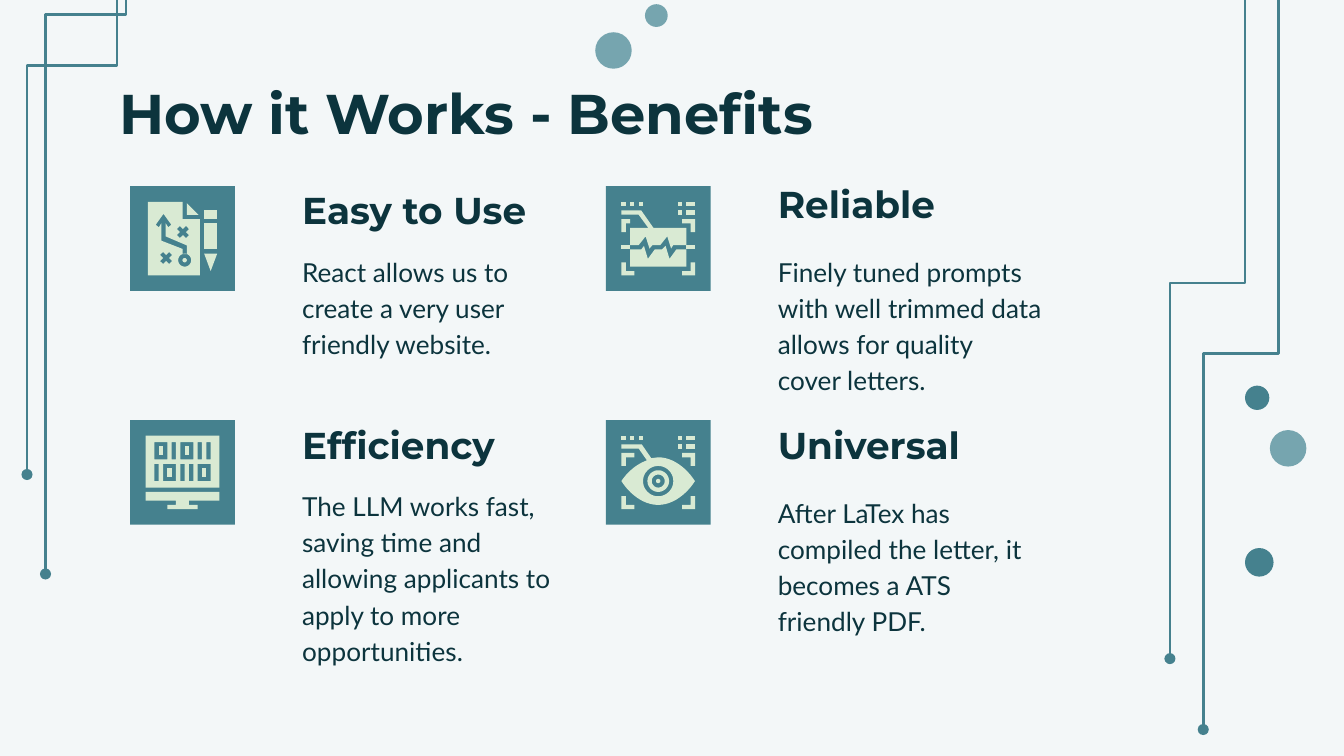
import math

import pptx
import pptx.dml.color
import pptx.enum.shapes
import pptx.enum.text
import pptx.oxml
import pptx.oxml.ns
import pptx.util
from pptx.util import Cm

RGBColor = pptx.dml.color.RGBColor
PAPER = RGBColor(0xF3, 0xF7, 0xF8)
TEAL = RGBColor(0x45, 0x81, 0x8E)
MIST = RGBColor(0x76, 0xA5, 0xAF)
MINT = RGBColor(0xD9, 0xEA, 0xD3)
INK = RGBColor(0x0C, 0x34, 0x3D)

SHAPE = pptx.enum.shapes.MSO_SHAPE
ANCHOR = pptx.enum.text.MSO_ANCHOR
TILE = 1.98
ICON = 1.39
GRID = 17
STEPS = 100


def rect(x, y, width, height):
    return [(x, y), (x, y + height), (x + width, y + height), (x + width, y)]


def circle(x, y, radius):
    turns = [math.tau * i / 40 for i in range(40)]
    return [(x + radius * math.cos(t), y + radius * math.sin(t)) for t in turns]


def curve(*controls):
    points = []
    for i in range(13):
        t = i / 12
        weights = ((1 - t) ** 3, 3 * t * (1 - t) ** 2, 3 * t * t * (1 - t), t ** 3)
        points.append(tuple(sum(w * c[axis] for w, c in zip(weights, controls))
                            for axis in (0, 1)))
    return points


def cross(x, y):
    arm = [(0, -0.7), (0.7, -1.4), (1.4, -0.7), (0.7, 0)]
    half = arm + [(1.4, 0.7), (0.7, 1.4)]
    return [(x + dx, y + dy) for dx, dy in half + [(-dx, -dy) for dx, dy in half]]


def mirror(outline):
    return [(GRID - x, y) for x, y in outline]


def plan_icon():
    arrow = [(4.1, 2.8), (2.3, 5.3), (3, 5.9), (3.6, 5), (3.6, 9), (8.5, 10.9),
             (8.5, 12.1), (9.5, 12.1), (9.5, 10.1), (4.6, 8), (4.6, 5),
             (5.2, 5.9), (5.9, 5.3)]
    page = [(0.5, 0), (0.5, 17), (12.5, 17), (12.5, 4), (8.5, 4), (8.5, 0)]
    return [
        [page, arrow, cross(8.6, 7), cross(4.7, 13), circle(9, 13.5, 1.5)],
        [circle(9, 13.5, 0.5)],
        [[(9.5, 0.3), (9.5, 3), (12.2, 3)]],
        [rect(13.5, 2, 3, 2)],
        [rect(13.5, 5, 3, 6)],
        [[(13.5, 12), (15, 16), (16.5, 12)]],
    ]


def scan_frame(corner):
    top_right = [(14, 4), (14, 5), (16, 5), (16, 7), (17, 7), (17, 4)]
    bottom_right = [(16, 14), (16, 16), (14, 16), (14, 17), (17, 17), (17, 14)]
    top_left = [(0, 4), (0, 7), (1, 7), (1, 5), (corner, 5), (corner, 4)]
    dots = [rect(x, 0, 1, 1) for x in (0, 2, 4)]
    for y in (0, 2):
        dots += [rect(13, y, 1, 1), rect(15, y, 2, 1)]
    corners = [top_right, bottom_right, mirror(bottom_right), top_left]
    return [[outline] for outline in corners + dots]


def pulse_icon():
    upper = [(0, 2), (0, 3), (4, 3), (6.2, 6), (2, 6), (2, 10), (4, 10), (5.6, 8),
             (6.5, 10.8), (7.2, 10), (9, 10), (10.6, 8), (11.5, 10.8), (12, 10),
             (15, 10), (15, 6), (7.4, 6), (4.6, 2)]
    lower = [(5.2, 10.2), (4.6, 11), (2, 11), (2, 15), (15, 15), (15, 11),
             (12.7, 11), (11.1, 13.2), (10.2, 10.2), (9.4, 11), (7.7, 11),
             (6.1, 13.2)]
    bars = [[rect(x, 10, 2, 1)] for x in (0, 15)]
    return [[upper], [lower]] + bars + scan_frame(2)


def binary_icon():
    screen = [rect(0, 0, 17, 12)]
    zero_centers = []
    for y, zeros, ones in ((1.5, (2, 8), (6, 12, 14)), (6.5, (4, 12), (2, 8, 10))):
        screen += [rect(x, y, 3, 4) for x in zeros]
        screen += [rect(x, y, 1, 4) for x in ones]
        zero_centers += [[rect(x + 1, y + 1, 1, 2)] for x in zeros]
    half_stand = [(0, 13), (0, 15), (7, 15), (7, 16), (5, 16), (5, 17)]
    return [screen, [half_stand + mirror(half_stand)[::-1]]] + zero_centers


def eye_icon():
    lid = ([(0, 2), (0, 3), (4, 3)]
           + curve((5.9, 5.7), (3.4, 6.6), (1.3, 8.5), (0, 10.5))
           + curve((0, 10.5), (1.8, 13.3), (4.9, 16), (8.5, 16))
           + curve((8.5, 16), (12.1, 16), (15.2, 13.3), (17, 10.5))
           + curve((17, 10.5), (15.2, 7.7), (12.1, 5), (8.5, 5))
           + [(6.9, 5.2), (4.7, 2)])
    hole, ring, gap, pupil = [circle(8.5, 10.5, r) for r in (3.5, 2.5, 1.5, 0.5)]
    return [[lid, hole], [ring, gap], [pupil]] + scan_frame(3)


def paint(shape, color):
    shape.shadow.inherit = False
    shape.fill.solid()
    shape.fill.fore_color.rgb = color
    shape.line.fill.background()


def add_solid(slide, kind, left, top, size, color):
    paint(slide.shapes.add_shape(kind, Cm(left), Cm(top), Cm(size), Cm(size)), color)


def add_icon(slide, left, top, parts):
    add_solid(slide, SHAPE.RECTANGLE, left, top, TILE, TEAL)
    margin = (TILE - ICON) / 2
    icon = slide.shapes.add_group_shape()
    for outlines in parts:
        scaled = [[(x * STEPS, y * STEPS) for x, y in line] for line in outlines]
        builder = icon.shapes.build_freeform(*scaled[0][0],
                                             scale=Cm(ICON) / (GRID * STEPS))
        builder.add_line_segments(scaled[0][1:], close=True)
        for outline in scaled[1:]:
            builder.move_to(*outline[0])
            builder.add_line_segments(outline[1:], close=True)
        paint(builder.convert_to_shape(Cm(left + margin), Cm(top + margin)), MINT)


def add_circuit(slide, start, end, bend):
    (x1, y1), (x2, y2) = start, end
    length, width = y2 - y1, x1 - x2
    left, top = (x1 + x2 - length) / 2, (y1 + y2 - width) / 2
    circuit = slide.shapes.add_connector(
        pptx.enum.shapes.MSO_CONNECTOR.ELBOW,
        Cm(left), Cm(top), Cm(left + length), Cm(top + width))
    circuit.line.color.rgb = TEAL
    circuit.line.width = pptx.util.Pt(1.5)
    properties = circuit.element.spPr
    qn = pptx.oxml.ns.qn
    properties.find(qn("a:xfrm")).set("rot", "5400000")
    guides = properties.find(qn("a:prstGeom")).get_or_add_avLst()
    ratio = round((bend - y1) / length * 100000)
    namespace = pptx.oxml.ns.nsdecls("a")
    parse_xml = pptx.oxml.parse_xml
    guides.append(parse_xml(f'<a:gd {namespace} name="adj1" fmla="val {ratio}"/>'))
    properties.find(qn("a:ln")).append(
        parse_xml(f'<a:tailEnd {namespace} type="oval"/>'))
    properties.append(parse_xml(f"<a:effectLst {namespace}/>"))


def write(shape, text, font_name, size, bold=False, anchor=ANCHOR.TOP, spacing=1.0):
    frame = shape.text_frame
    frame.text = text
    frame.word_wrap = True
    frame.auto_size = pptx.enum.text.MSO_AUTO_SIZE.NONE
    frame.vertical_anchor = anchor
    frame.margin_left = frame.margin_right = Cm(0.25)
    frame.margin_top = frame.margin_bottom = Cm(0.25)
    paragraph = frame.paragraphs[0]
    paragraph.alignment = pptx.enum.text.PP_ALIGN.LEFT
    paragraph.line_spacing = spacing
    paragraph.font.name = font_name
    paragraph.font.size = pptx.util.Pt(size)
    paragraph.font.bold = bold
    paragraph.font.color.rgb = INK


def add_benefit(slide, left, heading_top, body_top, heading, body):
    heading_box = slide.shapes.add_textbox(Cm(left), Cm(heading_top), Cm(5.49), Cm(1.12))
    write(heading_box, heading, "Montserrat", 20, True, ANCHOR.BOTTOM, 1.15)
    body_box = slide.shapes.add_textbox(Cm(left), Cm(body_top), Cm(5.49), Cm(1.85))
    write(body_box, body, "Lato", 14, spacing=1.15)


def main():
    deck = pptx.Presentation()
    deck.slide_width, deck.slide_height = Cm(25.4), Cm(14.29)
    slide = deck.slides.add_slide(deck.slide_layouts[5])
    slide.background.fill.solid()
    slide.background.fill.fore_color.rgb = PAPER

    title = slide.shapes.title
    title.left, title.top, title.width, title.height = Cm(2.01), Cm(1.24), Cm(21.41), Cm(1.6)
    write(title, "How it Works - Benefits", "Montserrat", 30, True)

    for start, end, bend in (
        ((2.38, -2.18), (0.86, 10.85), 0.28),
        ((2.21, -2.54), (0.51, 8.97), 1.24),
        ((24.16, -0.43), (22.74, 13.79), 6.68),
        ((23.53, -1.75), (22.11, 12.45), 5.35),
    ):
        add_circuit(slide, start, end, bend)
    for left, top, size, color in (
        (11.25, 0.61, 0.69, MIST), (23.53, 10.36, 0.54, TEAL),
        (24, 8.13, 0.69, MIST), (12.19, 0.08, 0.43, MIST), (23.53, 7.29, 0.46, TEAL),
    ):
        add_solid(slide, SHAPE.OVAL, left, top, size, color)

    columns, rows = (2.46, 11.45), (3.52, 7.94)
    for column, row, heading_top, body_top, icon, heading, body in (
        (0, 0, 3.51, 4.5, plan_icon, "Easy to Use",
         "React allows us to create a very user friendly website."),
        (1, 0, 3.4, 4.5, pulse_icon, "Reliable",
         "Finely tuned prompts with well trimmed data allows for quality cover letters."),
        (0, 1, 7.95, 8.94, binary_icon, "Efficiency",
         "The LLM works fast, saving time and allowing applicants to apply to more "
         "opportunities."),
        (1, 1, 7.95, 9.07, eye_icon, "Universal",
         "After LaTex has compiled the letter, it becomes a ATS friendly PDF."),
    ):
        add_icon(slide, columns[column], rows[row], icon())
        add_benefit(slide, columns[column] + 3, heading_top, body_top, heading, body)

    deck.save("out.pptx")


if __name__ == "__main__":
    main()
